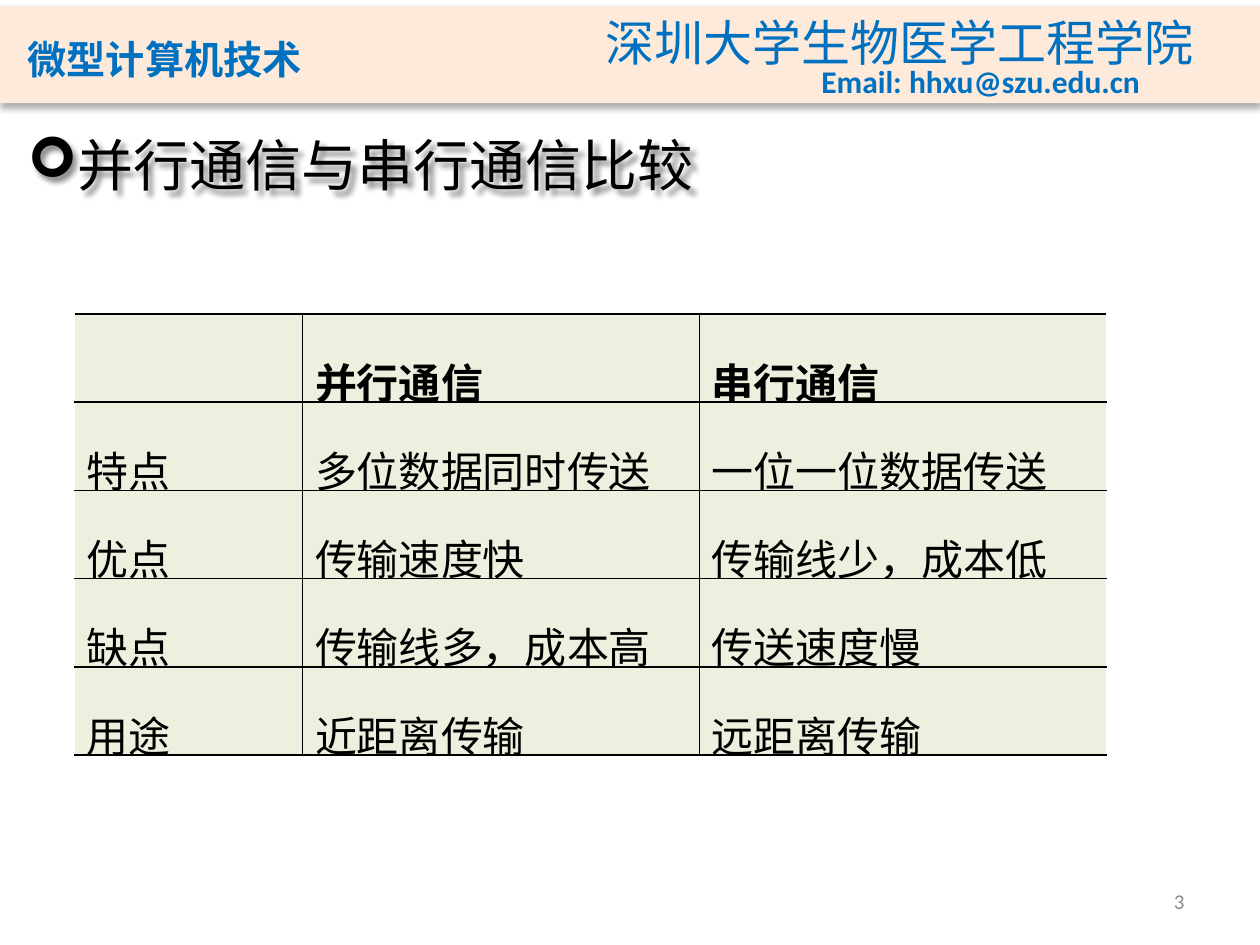
from lxml import etree
from pptx import Presentation, util as u
from pptx.dml.color import RGBColor
from pptx.enum import shapes, text
from pptx.oxml import parse_xml
from pptx.oxml.ns import nsdecls, qn

HUES = {"band": "FDEADA", "blue": "0070C0", "cell": "EBF1DE",
        "ink": "000000", "edge": "FFFFFF", "grey": "8C8C8C"}
LATIN, JP, SC = "Calibri", "Noto Sans CJK JP", "Noto Sans CJK SC"


def put_run(para, words, size, hue, face=LATIN, bold=False):
    run = para.add_run()
    run.text = words
    font = run.font
    font.size, font.bold, font.name = u.Pt(size), bold, face
    font.color.rgb = RGBColor.from_string(HUES[hue])
    props = run._r.get_or_add_rPr()
    props.set("lang", "zh-CN")
    if face != LATIN:
        etree.SubElement(props, qn("a:ea")).set("typeface", face)
    return run


def cast(shape, blur, dist, way, alpha):
    old = shape._element.spPr.find(qn("a:effectLst"))
    if old is not None:
        shape._element.spPr.remove(old)
    shape._element.spPr.append(parse_xml(
        f'<a:effectLst {nsdecls("a")}><a:outerShdw blurRad="{u.Pt(blur)}" '
        f'dist="{u.Pt(dist)}" dir="{way * 60000}" algn="tl" rotWithShape="0">'
        f'<a:srgbClr val="{HUES["ink"]}"><a:alpha val="{alpha * 1000}"/>'
        '</a:srgbClr></a:outerShdw></a:effectLst>'))


deck = Presentation()
deck.slide_width, deck.slide_height = u.Inches(10), u.Inches(7.5)
slide = deck.slides.add_slide(deck.slide_layouts[6])

# Header band
band = slide.shapes.add_shape(shapes.MSO_SHAPE.RECTANGLE, u.Inches(0),
                              u.Inches(0.05), u.Inches(10), u.Inches(0.77))
band.fill.solid()
band.fill.fore_color.rgb = RGBColor.from_string(HUES["band"])
band.line.fill.background()
cast(band, 3.5, 2.2, 90, 32)

# Text boxes: place, words, size, colour, font, bold, wrap, anchor
TOP, MID, LOW = (text.MSO_ANCHOR.TOP, text.MSO_ANCHOR.MIDDLE,
                 text.MSO_ANCHOR.BOTTOM)
notes = [
    ((0.12, 0.16, 3.39, 0.56), "微型计算机技术", 28, "blue", JP, True, True, LOW),
    ((4.71, 0.05, 4.91, 0.57), "深圳大学生物医学工程学院", 28, "blue", SC, False, False, TOP),
    ((6.42, 0.44, 2.75, 0.4), "Email: hhxu@szu.edu.cn", 18, "blue", LATIN, True, False, TOP),
    ((7.17, 6.95, 2.33, 0.4), "3", 12, "grey", LATIN, False, True, MID),
    ((0.12, 0.99, 5.52, 0.64), "并行通信与串行通信比较", 32, "ink", LATIN, False, False, TOP),
]
boxes, runs = [], []
for place, words, size, hue, face, bold, wrap, anchor in notes:
    box = slide.shapes.add_textbox(*map(u.Inches, place))
    frame = box.text_frame
    frame.word_wrap, frame.vertical_anchor = wrap, anchor
    if not wrap:
        frame.auto_size = text.MSO_AUTO_SIZE.SHAPE_TO_FIT_TEXT
    runs.append(put_run(frame.paragraphs[0], words, size, hue, face, bold))
    boxes.append(box)

# Small caps course name, right-aligned page number
runs[0]._r.get_or_add_rPr().set("cap", "small")
boxes[3].text_frame.paragraphs[0].alignment = text.PP_ALIGN.RIGHT

# Heading bullet and shadow
head = boxes[4]
props = head.text_frame.paragraphs[0]._p.get_or_add_pPr()
props.set("marL", str(u.Inches(0.38)))
props.set("indent", str(-u.Inches(0.38)))
etree.SubElement(props, qn("a:buFont")).set("typeface", "Wingdings")
etree.SubElement(props, qn("a:buChar")).set("char", "➢")
cast(head, 3, 3, 45, 45)

# Comparison table
rows = [
    ("", "并行通信", "串行通信"),
    ("特点", "多位数据同时传送", "一位一位数据传送"),
    ("优点", "传输速度快", "传输线少，成本低"),
    ("缺点", "传输线多，成本高", "传送速度慢"),
    ("用途", "近距离传输", "远距离传输"),
]
wide = [1.81, 3.15, 3.23]
grid = slide.shapes.add_table(len(rows), len(wide), u.Inches(0.59), u.Inches(2.49),
                              u.Inches(sum(wide)), u.Inches(3.5)).table
grid.first_row = grid.horz_banding = False
for col, width in zip(grid.columns, wide):
    col.width = u.Inches(width)
for r, row in enumerate(rows):
    grid.rows[r].height = u.Inches(0.7)
    for c, words in enumerate(row):
        cell = grid.cell(r, c)
        para = cell.text_frame.paragraphs[0]
        para.line_spacing = 1.5
        if words:
            put_run(para, words, 24, "ink", bold=r == 0)
        # Outer sides are white, all other borders black
        sides = {"L": "ink" if c else "edge",
                 "R": "ink" if c < len(wide) - 1 else "edge",
                 "T": "ink", "B": "ink"}
        for side, hue in sides.items():
            cell._tc.get_or_add_tcPr().append(parse_xml(
                f'<a:ln{side} {nsdecls("a")} w="{u.Pt(1)}"><a:solidFill>'
                f'<a:srgbClr val="{HUES[hue]}"/></a:solidFill></a:ln{side}>'))
        cell.fill.solid()
        cell.fill.fore_color.rgb = RGBColor.from_string(HUES["cell"])

deck.save("out.pptx")
